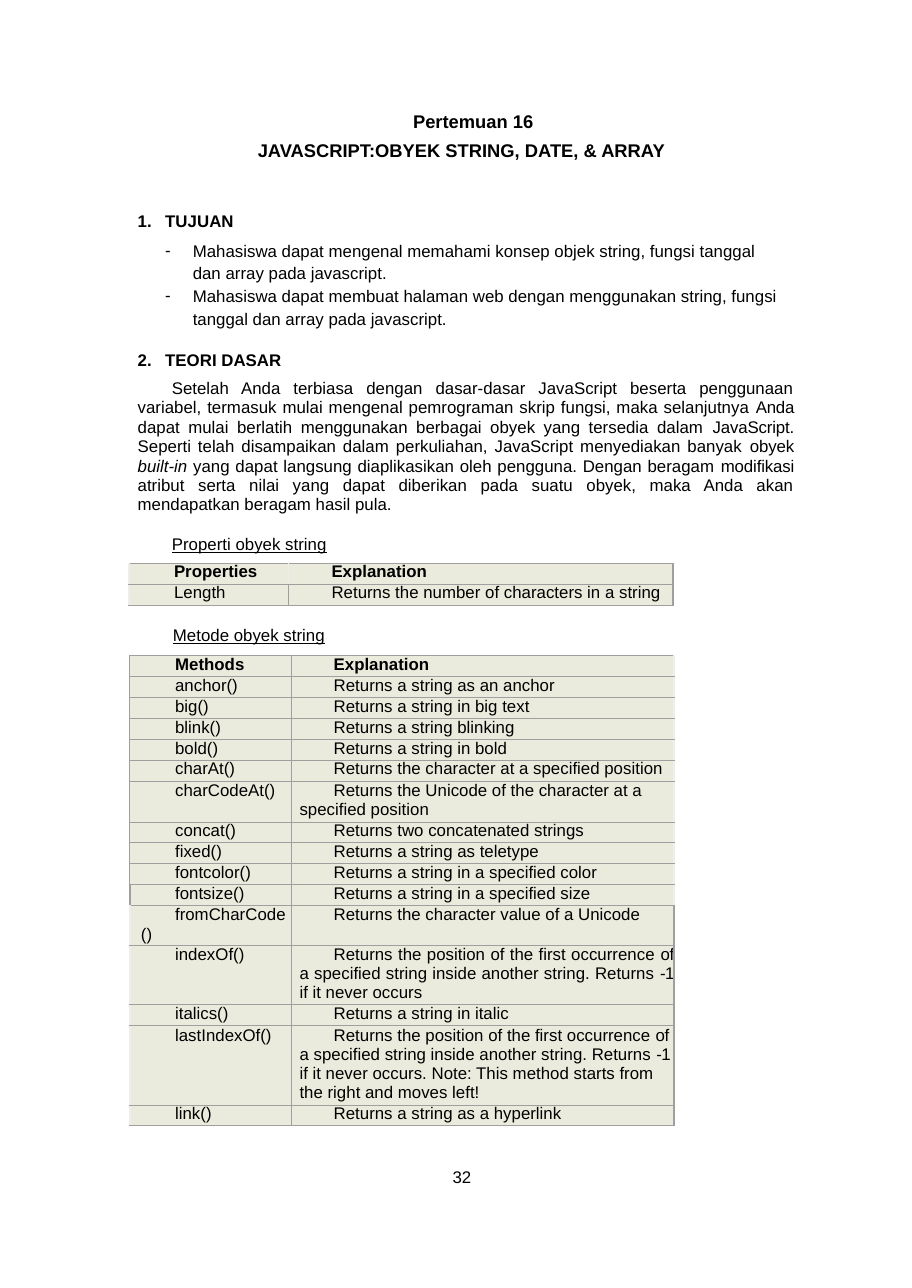
from dataclasses import dataclass
from typing import NamedTuple

from lxml.etree import SubElement
from pptx import Presentation
from pptx.dml.color import RGBColor
from pptx.enum.text import MSO_ANCHOR, MSO_AUTO_SIZE, PP_ALIGN
from pptx.oxml.ns import qn
from pptx.util import Pt

PX = 9144
FONT = "Arial"
BLACK = RGBColor(0x00, 0x00, 0x00)
CREAM = RGBColor(0xEB, 0xEB, 0xDD)
GRAY = RGBColor(0x9F, 0x9F, 0x9F)
PALE = RGBColor(0xED, 0xED, 0xED)


class Bit(NamedTuple):
    text: str
    slant: bool = False
    spc: int = 0


class Edge(NamedTuple):
    color: RGBColor
    width: float


class Box(NamedTuple):
    left: int
    top: int
    width: int
    height: int


THIN = Edge(GRAY, 0.25)
MID = Edge(GRAY, 0.75)
THICK = Edge(GRAY, 1.5)
FAINT = Edge(PALE, 0.25)
LIGHT = Edge(PALE, 1.5)


@dataclass
class Row:
    name: str
    note: tuple[str | Bit, ...]
    left: Edge = MID
    inner: Edge = THIN
    right: Edge = LIGHT
    height: int = 19
    bold: bool = False
    align: PP_ALIGN = PP_ALIGN.LEFT


def put(frame, *bits: str | Bit, size=11, bold=False, under=False, left=0,
        first=0, right=0, lead=1.0, before=0, mark=None, level=0,
        align=PP_ALIGN.LEFT) -> None:
    para = frame.add_paragraph() if frame.text else frame.paragraphs[0]
    props = para._p.get_or_add_pPr()
    for key, value in (("marL", left), ("indent", first), ("marR", right)):
        props.set(key, str(value * PX))
    if mark is None:
        SubElement(props, qn("a:buNone"))
    elif isinstance(mark, int):
        SubElement(props, qn("a:buAutoNum"), type="arabicPeriod", startAt=str(mark))
    else:
        SubElement(props, qn("a:buChar"), char=mark)
    para.level = level
    para.alignment = align
    para.line_spacing = lead
    para.space_before = Pt(before)
    para.space_after = Pt(0)
    for bit in bits:
        bit = Bit(bit) if isinstance(bit, str) else bit
        run = para.add_run()
        run.text = bit.text
        font = run.font
        font.name, font.size, font.bold = FONT, Pt(size), bold
        font.italic, font.underline = bit.slant, under
        font.color.rgb = BLACK
        if bit.spc:
            run._r.get_or_add_rPr().set("spc", str(bit.spc))


def fit(shape, box: Box):
    shape.left, shape.top, shape.width, shape.height = (n * PX for n in box)
    frame = shape.text_frame
    frame.margin_left = frame.margin_right = 0
    frame.margin_top = frame.margin_bottom = 0
    frame.word_wrap = True
    frame.auto_size = MSO_AUTO_SIZE.NONE
    frame.vertical_anchor = MSO_ANCHOR.TOP
    return frame


def label(slide, box: Box, text: str, **style) -> None:
    put(fit(slide.shapes.add_textbox(0, 0, 0, 0), box), text, **style)


def rule(cell, **edges: Edge) -> None:
    props = cell._tc.get_or_add_tcPr()
    for side, edge in edges.items():
        line = SubElement(props, qn(f"a:ln{side}"), w=str(Pt(edge.width)))
        fill = SubElement(line, qn("a:solidFill"))
        SubElement(fill, qn("a:srgbClr"), val=str(edge.color))
    cell.fill.solid()
    cell.fill.fore_color.rgb = CREAM
    cell.margin_left = cell.margin_right = 0
    cell.margin_top = cell.margin_bottom = 0


def grid(slide, left: int, top: int, cols: tuple[int, int], rows: list[Row]) -> None:
    tall = sum(row.height for row in rows)
    table = slide.shapes.add_table(
        len(rows), len(cols), left * PX, top * PX, sum(cols) * PX, tall * PX).table
    table.first_row = table.horz_banding = False
    for col, width in zip(table.columns, cols):
        col.width = width * PX
    for i, row in enumerate(rows):
        table.rows[i].height = row.height * PX
        lead = Pt(12.5 if row.height > 19 else 12)
        name, note = table.cell(i, 0), table.cell(i, 1)
        rule(name, L=row.left, R=row.inner, T=THIN, B=THIN)
        rule(note, L=row.inner, R=row.right, T=THIN, B=THIN)
        for j, part in enumerate(row.name.split("\n")):
            put(name.text_frame, part, left=10, first=0 if j else 31,
                lead=lead, bold=row.bold)
        put(note.text_frame, *row.note, left=8, first=31, lead=lead,
            bold=row.bold, align=row.align)


PROPS = [
    Row("Properties", ("Explanation",), LIGHT, FAINT, THICK, bold=True),
    Row("Length", ("Returns the number of characters in a string",),
        LIGHT, THIN, THICK),
]

FIRST = ("Returns the position of the first occurrence ", Bit("of ", spc=-20),
         "a specified string inside another string. Returns ", Bit("-1 ", spc=-30))

METHODS = [
    Row("Methods", ("Explanation",), bold=True),
    Row("anchor()", ("Returns a string as an anchor",)),
    Row("big()", ("Returns a string in big text",)),
    Row("blink()", ("Returns a string blinking",)),
    Row("bold()", ("Returns a string in bold",)),
    Row("charAt()", ("Returns the character at a specified position",)),
    Row("charCodeAt()", ("Returns the Unicode of the character at a specified position",),
        height=37),
    Row("concat()", ("Returns two concatenated strings",)),
    Row("fixed()", ("Returns a string as teletype",)),
    Row("fontcolor()", ("Returns a string in a specified color",)),
    Row("fontsize()", ("Returns a string in a specified size",), THICK),
    Row("fromCharCode\n()", ("Returns the character value of a Unicode",),
        LIGHT, THIN, THICK, 36),
    Row("indexOf()", (*FIRST, "if it never occurs"),
        LIGHT, THIN, THICK, 54, align=PP_ALIGN.JUSTIFY),
    Row("italics()", ("Returns a string in italic",), LIGHT, THIN, THICK),
    Row("lastIndexOf()", (*FIRST, "if it never occurs. Note: This method starts from "
                          "the right and moves left!"), LIGHT, THIN, THICK, 72),
    Row("link()", ("Returns a string as a hyperlink",), LIGHT, THIN, THICK),
]


def main() -> None:
    deck = Presentation()
    deck.slide_width, deck.slide_height = 828 * PX, 1169 * PX
    slide = deck.slides.add_slide(deck.slide_layouts[1])

    title = fit(slide.shapes.title, Box(124, 96, 597, 60))
    put(title, "Pertemuan 16", size=12, bold=True, left=251, lead=1.22)
    put(title, "JAVASCRIPT:OBYEK STRING, DATE, & ARRAY", size=12, bold=True,
        left=110, lead=1.22, before=1)

    body = fit(slide.placeholders[1], Box(124, 191, 597, 311))
    head = dict(bold=True, left=26, first=-25)
    item = dict(left=51, first=-25, right=10, mark="-", level=1)
    put(body, "TUJUAN", mark=1, **head)
    put(body, "Mahasiswa dapat mengenal memahami konsep objek string, fungsi tanggal "
        "dan array pada javascript.", lead=1.11, before=4.8, **item)
    put(body, "Mahasiswa dapat membuat halaman web dengan menggunakan string, fungsi "
        "tanggal dan array pada javascript.", lead=Pt(14.8), before=0.3, **item)
    put(body, "TEORI DASAR", mark=2, before=13.5, **head)
    put(body,
        "Setelah Anda terbiasa dengan dasar-dasar JavaScript beserta penggunaan "
        "variabel, termasuk mulai mengenal pemrograman skrip fungsi, maka selanjutnya ",
        Bit("Anda ", spc=-20),
        "dapat mulai berlatih menggunakan berbagai obyek yang tersedia dalam ",
        Bit("JavaScript. ", spc=-10),
        "Seperti telah disampaikan dalam perkuliahan, JavaScript menyediakan banyak ",
        Bit("obyek ", spc=-10), Bit("built-in ", slant=True),
        "yang dapat langsung diaplikasikan oleh pengguna. Dengan beragam ",
        Bit("modifikasi ", spc=-10),
        "atribut serta nilai yang dapat diberikan pada suatu obyek, maka Anda akan "
        "mendapatkan beragam hasil pula.",
        left=1, first=31, lead=0.96, before=6.2, align=PP_ALIGN.JUSTIFY)
    put(body, "Properti obyek string", under=True, left=32, before=12.4)

    grid(slide, 117, 511, (145, 349), PROPS)
    label(slide, Box(157, 567, 139, 20), "Metode obyek string", under=True)
    grid(slide, 118, 595, (146, 348), METHODS)
    label(slide, Box(411, 1059, 27, 20), "32", lead=Pt(13.2))
    deck.save("out.pptx")


if __name__ == "__main__":
    main()
